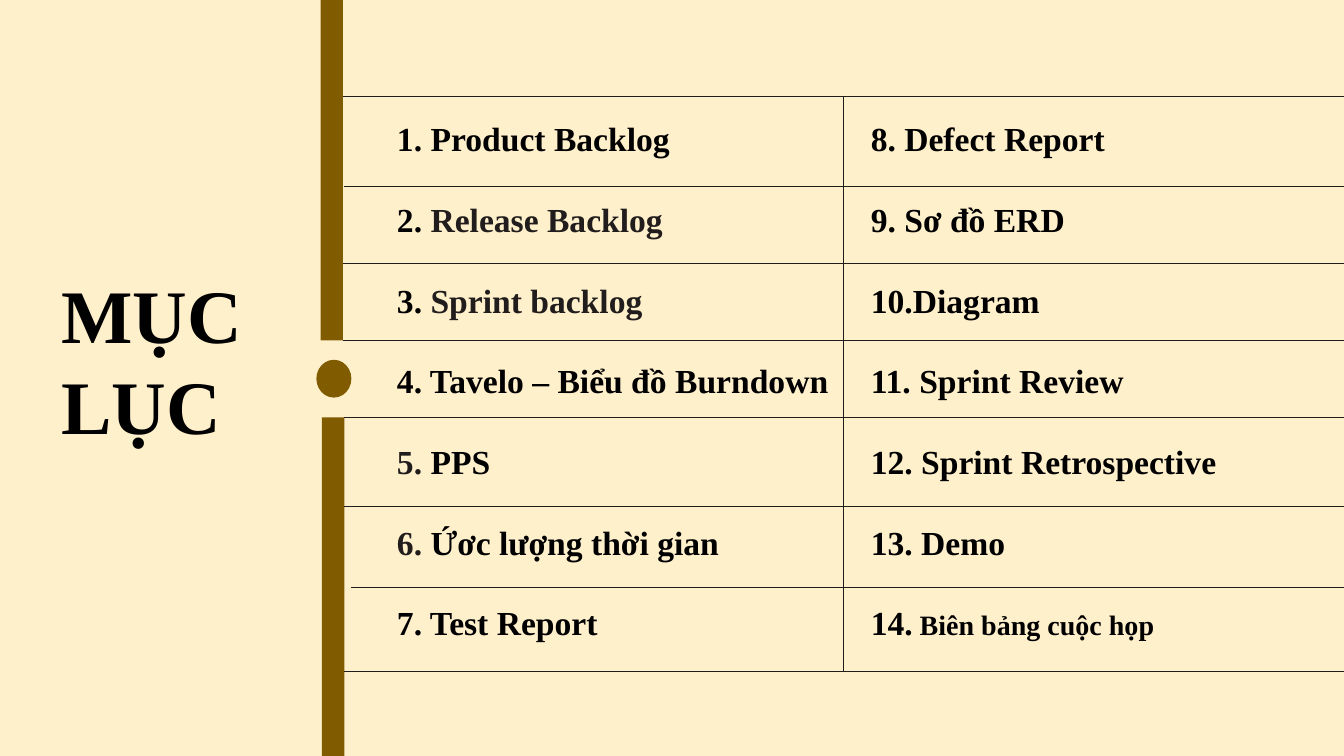
import pptx
import pptx.dml.color
import pptx.enum.shapes
import pptx.enum.text
import pptx.oxml.ns
import pptx.util
from pptx.util import Pt

FONT = "Times New Roman"
CREAM, BRONZE, BLACK, CHARCOAL = "FFF0CC", "805B00", "000000", "211D1C"
ITEM_SIZE, ITEM_GAP = 24, 28.8

LEFT_ITEMS = [
    [("1. Product Backlog", BLACK, ITEM_SIZE)],
    [("2. ", BLACK, ITEM_SIZE), ("Release Backlog", CHARCOAL, ITEM_SIZE)],
    [("3.", BLACK, ITEM_SIZE), (" Sprint backlog", CHARCOAL, ITEM_SIZE)],
    [("4. Tavelo – Biểu đồ Burndown", BLACK, ITEM_SIZE)],
    [("5. ", CHARCOAL, ITEM_SIZE), ("PPS", BLACK, ITEM_SIZE)],
    [("6. ", CHARCOAL, ITEM_SIZE), ("Ứơc lượng thời gian", BLACK, ITEM_SIZE)],
    [("7. Test Report", BLACK, ITEM_SIZE)],
]
RIGHT_ITEMS = [
    [("8. Defect Report", BLACK, ITEM_SIZE)],
    [("9. Sơ đồ ERD", BLACK, ITEM_SIZE)],
    [("10.Diagram", BLACK, ITEM_SIZE)],
    [("11. Sprint Review", BLACK, ITEM_SIZE)],
    [("12. Sprint Retrospective", BLACK, ITEM_SIZE)],
    [("13. Demo", BLACK, ITEM_SIZE)],
    [("14.", BLACK, ITEM_SIZE), (" Biên bảng cuộc họp", BLACK, 20)],
]
ROW_RULES = [(244.8, 69.1), (245.8, 133.2), (244.8, 187.9), (244.8, 243.2),
             (245.8, 298.1), (245.8, 361.9), (250.9, 419.8), (245.8, 479.5)]
RULE_LENGTH, DIVIDER_X = 715, 602.6


def rgb(hex_colour):
    """Turn a hex string into a colour."""
    return pptx.dml.color.RGBColor.from_string(hex_colour)


def format_run(run, colour, size):
    """Give a run the bold serif look."""
    run.font.name = FONT
    run.font.bold = True
    run.font.size = Pt(size)
    run.font.color.rgb = rgb(colour)


def set_title(slide, text):
    """Place and format the slide title."""
    title = slide.shapes.title
    title.left, title.top, title.width, title.height = Pt(36.7), Pt(187.6), Pt(164.2), Pt(138.2)
    frame = title.text_frame
    frame.text = text
    frame.word_wrap = True
    frame.auto_size = pptx.enum.text.MSO_AUTO_SIZE.NONE
    frame.vertical_anchor = pptx.enum.text.MSO_ANCHOR.TOP
    heading = frame.paragraphs[0]
    heading.alignment = pptx.enum.text.PP_ALIGN.LEFT
    heading.line_spacing = Pt(65)
    format_run(heading.runs[0], BLACK, 54)


def add_marker(slide, kind, left, top, width, height):
    """Add a solid bronze shape of the timeline."""
    marker = slide.shapes.add_shape(kind, Pt(left), Pt(top), Pt(width), Pt(height))
    marker.shadow.inherit = False
    marker.fill.solid()
    marker.fill.fore_color.rgb = rgb(BRONZE)
    marker.line.fill.background()


def add_rule(slide, x1, y1, x2, y2):
    """Add a thin straight line."""
    rule = slide.shapes.add_connector(
        pptx.enum.shapes.MSO_CONNECTOR.STRAIGHT, Pt(x1), Pt(y1), Pt(x2), Pt(y2))
    rule.line.color.rgb = rgb(CHARCOAL)
    rule.line.width = Pt(0.75)
    properties = rule._element.spPr
    properties.append(properties.makeelement(pptx.oxml.ns.qn("a:effectLst"), {}))


def add_items(slide, left, width, items):
    """Add one column of contents entries."""
    column = slide.shapes.add_textbox(Pt(left), Pt(81), Pt(width), Pt(385))
    frame = column.text_frame
    frame.word_wrap = True
    for index, item in enumerate(items):
        entry = frame.add_paragraph() if index else frame.paragraphs[0]
        entry.space_before = Pt(ITEM_GAP if index else 0)
        for text, colour, size in item:
            run = entry.add_run()
            run.text = text
            format_run(run, colour, size)


def main():
    """Build the contents slide."""
    deck = pptx.Presentation()
    deck.slide_width, deck.slide_height = Pt(960), Pt(540)
    slide = deck.slides.add_slide(deck.slide_layouts[5])
    slide.background.fill.solid()
    slide.background.fill.fore_color.rgb = rgb(CREAM)

    shapes = pptx.enum.shapes.MSO_SHAPE
    add_marker(slide, shapes.RECTANGLE, 229, 0, 16, 243.2)
    add_marker(slide, shapes.OVAL, 226, 257, 25, 27)
    add_marker(slide, shapes.RECTANGLE, 230, 298.1, 16, 241.9)

    set_title(slide, "MỤC LỤC")
    add_items(slide, 276.5, 338.4, LEFT_ITEMS)
    add_items(slide, 614.9, 274.3, RIGHT_ITEMS)

    for x, y in ROW_RULES:
        add_rule(slide, x, y, min(x + RULE_LENGTH, 960), y)
    add_rule(slide, DIVIDER_X, ROW_RULES[0][1], DIVIDER_X, ROW_RULES[-1][1])
    deck.save("out.pptx")


if __name__ == "__main__":
    main()
